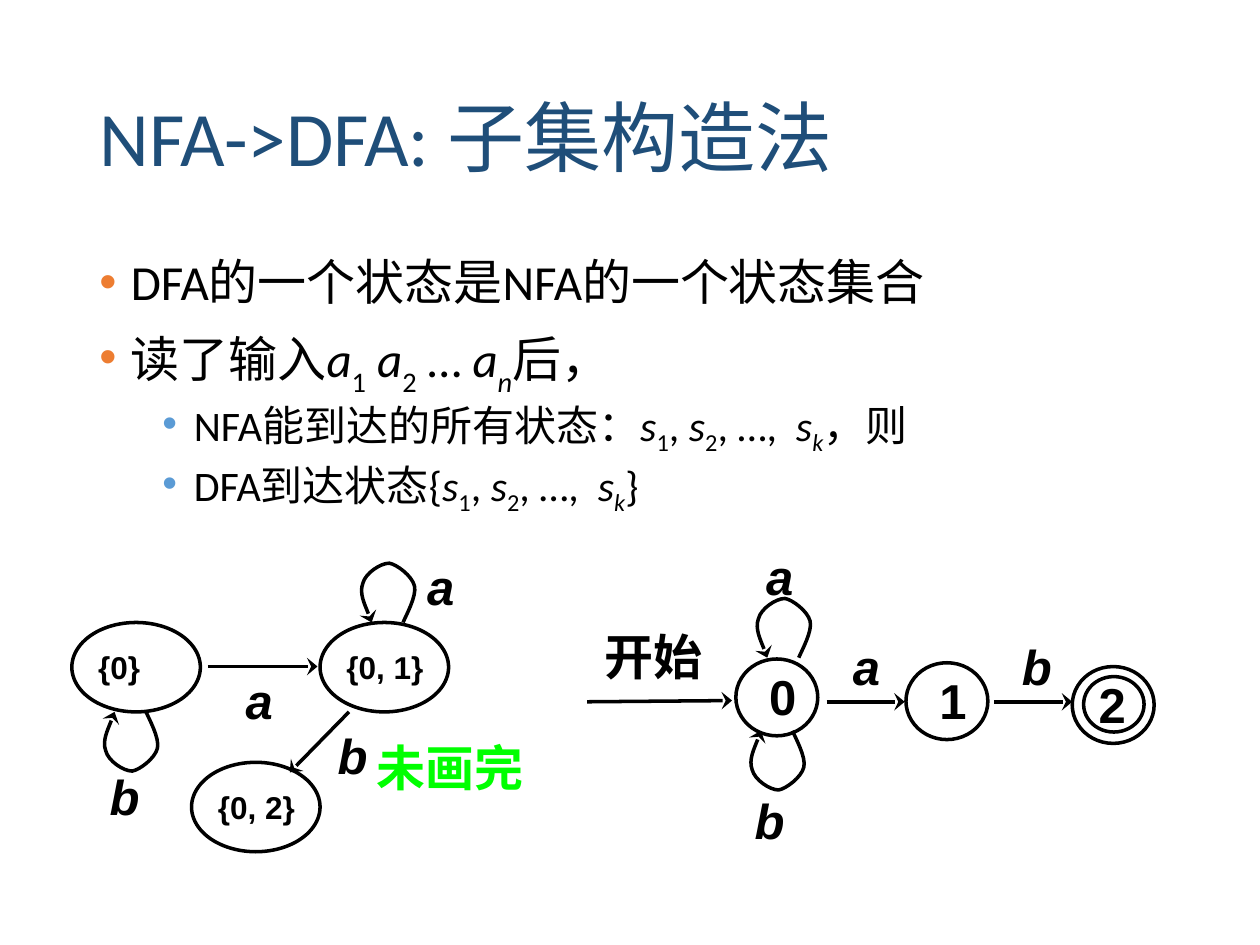
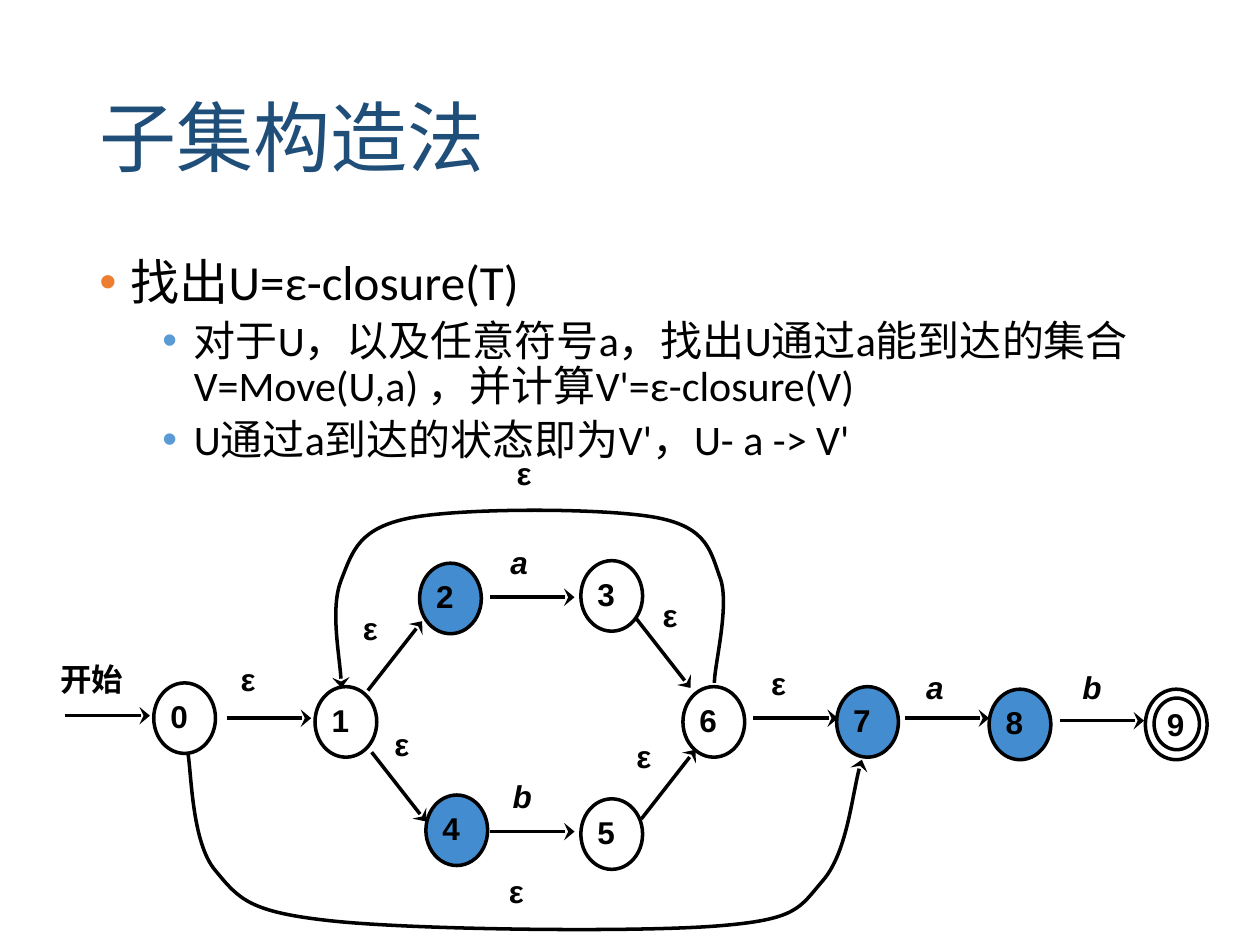
from lxml.etree import SubElement
from pptx import Presentation
from pptx.dml.color import RGBColor as RGB
from pptx.enum.shapes import MSO_CONNECTOR as CONN, MSO_SHAPE as SHAPE
from pptx.enum.text import MSO_ANCHOR as ANCHOR, PP_ALIGN as ALIGN
from pptx.oxml.ns import qn
from pptx.util import Inches, Pt

HEX = {"title": "1F4E79", "ink": "000000", "dot0": "ED7D31", "dot1": "5B9BD5",
       "mark": "438CCF", "note": "00FF00"}
BODY, LABEL, CJK = "Calibri", "Arial", "Noto Sans CJK SC"
PAD = (0.06, 0.03, 0.06, 0.03)
NODE_PAD = (0.06, 0.03, 0.02, 0.05)

# A self-loop drawn above a node; flipped, it hangs below
LOOP_H = 0.47
LOOP = [(0.35, 0.47),
        (0.37, 0.42), (0.46, 0.26), (0.44, 0.18),
        (0.42, 0.10), (0.30, 0.01), (0.24, 0),
        (0.17, 0), (0.05, 0.08), (0.03, 0.16),
        (0, 0.24), (0.08, 0.41), (0.10, 0.47)]


def color(name):
    return RGB.from_string(HEX[name])


def write(shape, paras, size=28, font=LABEL, ink="ink", bold=False, italic=False,
          pad=(0.1, 0.05, 0.1, 0.05), anchor=ANCHOR.TOP, wrap=True, gap=None):
    """Fill a shape; a run is a (text, flags) pair: i is italic, _ is subscript.
    A paragraph is a string or a (level, runs) pair, which gets a bullet."""
    frame = shape.text_frame
    frame.word_wrap, frame.vertical_anchor = wrap, anchor
    (frame.margin_left, frame.margin_top,
     frame.margin_right, frame.margin_bottom) = map(Inches, pad)
    for n, item in enumerate(paras):
        par = frame.add_paragraph() if n else frame.paragraphs[0]
        par.alignment = ALIGN.LEFT
        if gap:
            par.line_spacing = gap
        level, runs = (None, [(item, "")]) if isinstance(item, str) else item
        if level is not None:
            bullet(par, level)
        for words, flags in runs:
            run = par.add_run()
            run.text = words
            face = run.font
            face.size = Pt(size - 4 * (level or 0))
            face.bold, face.italic = bold, italic or "i" in flags
            face.color.rgb = color(ink)
            face.name = font
            props = run._r.get_or_add_rPr()
            SubElement(props, qn("a:ea"), typeface=CJK)
            if "_" in flags:
                props.set("baseline", "-25000" if level else "-30000")


def bullet(par, level):
    par.level = level
    par.space_before = Pt(5 if level else 10)
    props = par._p.get_or_add_pPr()
    props.set("marL", str(Inches(0.25 + 0.5 * level)))
    props.set("indent", str(Inches(-0.25)))
    tint = SubElement(props, qn("a:buClr"))
    SubElement(tint, qn("a:srgbClr"), val=HEX[f"dot{level}"])
    SubElement(props, qn("a:buFont"), typeface="Arial")
    SubElement(props, qn("a:buChar"), char="•")


def text_box(slide, box, paras, **form):
    write(slide.shapes.add_textbox(*map(Inches, box)), paras, **form)


def stroke(shape, arrow=False):
    shape.line.color.rgb = color("ink")
    shape.line.width = Pt(2)
    if arrow:
        SubElement(shape.line._get_or_add_ln(), qn("a:tailEnd"), type="stealth", w="lg")


class Graph:
    """Draws an automaton; all places are relative to its top left corner."""

    def __init__(self, slide, left, top, size, oval):
        self.shapes, self.slide = slide.shapes, slide
        self.left, self.top, self.size, self.oval = left, top, size, oval

    def at(self, x, y):
        return Inches(self.left + x), Inches(self.top + y)

    def node(self, x, y, name=None, fill=None, oval=None, **form):
        w, h = oval or self.oval
        ring = self.shapes.add_shape(SHAPE.OVAL, *self.at(x, y), Inches(w), Inches(h))
        ring.shadow.inherit = False
        if fill:
            ring.fill.solid()
            ring.fill.fore_color.rgb = color(fill)
        else:
            ring.fill.background()
        stroke(ring)
        if name:
            write(ring, [name], **{"size": self.size, "bold": True, "pad": NODE_PAD, **form})

    def final(self, x, y, name, inset, inner):
        self.node(x, y)
        self.node(x + inset[0], y + inset[1], name, oval=inner,
                  pad=(0.05, 0, 0.01, 0), anchor=ANCHOR.MIDDLE)

    def label(self, x, y, words, w=0.53, h=0.49, **form):
        text_box(self.slide, (self.left + x, self.top + y, w, h), [words],
                 **{"size": self.size, "bold": True, "pad": PAD,
                    "italic": words in ("a", "b"), **form})

    def edge(self, x, y, dx, dy=0):
        line = self.shapes.add_connector(CONN.STRAIGHT, *self.at(x, y),
                                         *self.at(x + dx, y + dy))
        stroke(line, arrow=True)
        SubElement(line._element.spPr, qn("a:effectLst"))

    def curve(self, points):
        """Start point, then three points for each cubic part."""
        spots = [self.at(*p) for p in points]
        pen = self.shapes.build_freeform(*spots[0])
        pen.add_line_segments(spots[1:], close=False)
        shape = pen.convert_to_shape()
        shape.shadow.inherit = False
        shape.fill.background()
        stroke(shape, arrow=True)
        # Join each three straight steps into one cubic part
        steps = list(shape._element.iter(qn("a:lnTo")))
        for n in range(0, len(steps), 3):
            cubic = SubElement(steps[n].getparent(), qn("a:cubicBezTo"))
            for step in steps[n:n + 3]:
                cubic.append(step[0])
                step.getparent().remove(step)

    def loop(self, x, y, below=False):
        self.curve([(x + u, y + (LOOP_H - v if below else v)) for u, v in LOOP])


def page(deck, title, points):
    """Blank slide with the shared title and bullet list."""
    slide = deck.slides.add_slide(deck.slide_layouts[6])
    text_box(slide, (0.69, 0.4, 8.62, 1.45), [title], size=44, font=BODY,
             ink="title", anchor=ANCHOR.MIDDLE, gap=0.9)
    text_box(slide, (0.69, 2, 8.62, 4.76), points, font=BODY, gap=0.9)
    return slide


def subset_graph(slide, left, top):
    """Unfinished DFA whose states are sets."""
    g = Graph(slide, left, top, 28, (1.02, 0.71))
    for x, y, name in [(0.07, 0.64, "{0}"), (2.04, 0.64, "{0, 1}"), (1.02, 1.75, "{0, 2}")]:
        g.node(x, y, name, size=18, pad=PAD, anchor=ANCHOR.MIDDLE, wrap=False)
    g.edge(1.15, 0.99, 0.87)
    g.edge(2.27, 1.35, -0.47, 0.48)
    g.loop(2.35, 0.17)
    g.loop(0.31, 1.35, below=True)
    for x, y, sign in [(1.39, 0.99, "a"), (0.31, 1.75, "b"), (2.83, 0.09, "a"), (2.12, 1.43, "b")]:
        g.label(x, y, sign)
    g.label(2.43, 1.47, "未画完", 1.42, 0.63, ink="note", anchor=ANCHOR.MIDDLE, wrap=False)


def source_graph(slide, left, top):
    """NFA with three states."""
    g = Graph(slide, left, top, 28, (0.65, 0.61))
    for x, y, name in [(1.24, 0.93, "0"), (2.59, 0.96, "1")]:
        g.node(x, y, name, pad=(0.17, 0.03, 0.02, 0.05), anchor=ANCHOR.MIDDLE)
    g.final(3.91, 0.99, "2", (0.09, 0.08), (0.48, 0.44))
    g.edge(0.06, 1.27, 1.15, -0.01)
    for x in (1.96, 3.29):
        g.edge(x, 1.27, 0.62)
    g.loop(1.39, 0.45)
    g.loop(1.34, 1.5, below=True)
    for x, y, sign in [(1.42, 0.01, "a"), (2.11, 0.72, "a"), (3.45, 0.72, "b"), (1.33, 1.94, "b")]:
        g.label(x, y, sign)
    g.label(0.14, 0.64, "开始", 1.06, 0.57)


def closure_graph(slide, left, top):
    """NFA with ten states and empty moves."""
    g = Graph(slide, left, top, 18, (0.49, 0.56))
    spots = [(0.82, 1.92), (2.1, 1.95), (2.93, 0.97), (4.21, 0.95), (2.98, 2.81),
             (4.21, 2.84), (5.02, 1.95), (6.24, 1.95), (7.45, 1.97)]
    for n, (x, y) in enumerate(spots):
        g.node(x, y, str(n), fill="mark" if n in (2, 4, 7, 8) else None)
    g.final(8.69, 1.97, "9", (0.07, 0.07), (0.36, 0.41))
    # Level moves, then slanted ones
    for x, y in [(0.12, 2.18), (1.4, 2.2), (5.58, 2.2), (6.78, 2.2), (8.01, 2.22),
                 (3.49, 1.24), (3.49, 3.1)]:
        g.edge(x, y, 0.67)
    for x, y, way in [(2.52, 1.98, -1), (4.65, 1.41, 1), (4.69, 3, -1), (2.55, 2.47, 1)]:
        g.edge(x, y, 0.43, way * 0.55)
    # Skip from 0 to 7, and return from 6 to 1
    g.curve([(1.09, 2.47),
             (1.12, 2.63), (1.12, 3.19), (1.31, 3.41),
             (1.5, 3.64), (1.58, 3.74), (2.24, 3.81),
             (2.9, 3.88), (4.63, 3.9), (5.28, 3.85),
             (5.93, 3.8), (5.94, 3.71), (6.13, 3.49),
             (6.32, 3.27), (6.37, 2.73), (6.44, 2.53)])
    g.curve([(5.27, 1.92),
             (5.27, 1.78), (5.39, 1.32), (5.32, 1.1),
             (5.24, 0.88), (5.22, 0.69), (4.82, 0.61),
             (4.41, 0.53), (3.28, 0.53), (2.86, 0.61),
             (2.45, 0.69), (2.4, 0.87), (2.31, 1.1),
             (2.22, 1.32), (2.31, 1.78), (2.31, 1.96)])
    signs = {"ε": [(1.45, 1.71), (2.42, 1.3), (2.67, 2.22), (4.8, 1.2), (4.59, 2.32),
                   (3.58, 3.39), (3.64, 0.07), (5.66, 1.74)],
             "a": [(3.59, 0.78), (6.89, 1.77)],
             "b": [(3.61, 2.64), (8.13, 1.77)]}
    for sign, places in signs.items():
        for x, y in places:
            g.label(x, y, sign, 0.43, 0.45)
    g.label(0.02, 1.71, "开始", 0.79, 0.53)


deck = Presentation()
deck.slide_width, deck.slide_height = Inches(10), Inches(7.5)

# Slide 1: the idea
states = [("s", "i"), ("1", "_"), (",", ""), (" s", "i"), ("2", "_"),
          (", …,  ", ""), ("s", "i"), ("k", "i_")]
first = page(deck, "NFA->DFA: 子集构造法", [
    (0, [("DFA的一个状态是NFA的一个状态集合", "")]),
    (0, [("读了输入", ""), ("a", "i"), ("1", "_"), (" a", "i"), ("2", "_"),
         (" … ", ""), ("a", "i"), ("n", "i_"), ("后，", "")]),
    (1, [("NFA能到达的所有状态：", ""), *states, ("，则", "")]),
    (1, [("DFA到达状态{", ""), *states, ("}", "")])])
source_graph(first, 4.6, 4.3)
subset_graph(first, 0.5, 4.3)

# Slide 2: the closure
second = page(deck, "子集构造法", [
    (0, [("找出U=ε-closure(T)", "")]),
    (1, [("对于U，以及任意符号a，找出U通过a能到达的集合V=Move(U,a) ，"
          "并计算V'=ε-closure(V)", "")]),
    (1, [("U通过a到达的状态即为V'，U- a -> V'", "")])])
closure_graph(second, 0.4, 3.5)

deck.save("out.pptx")
